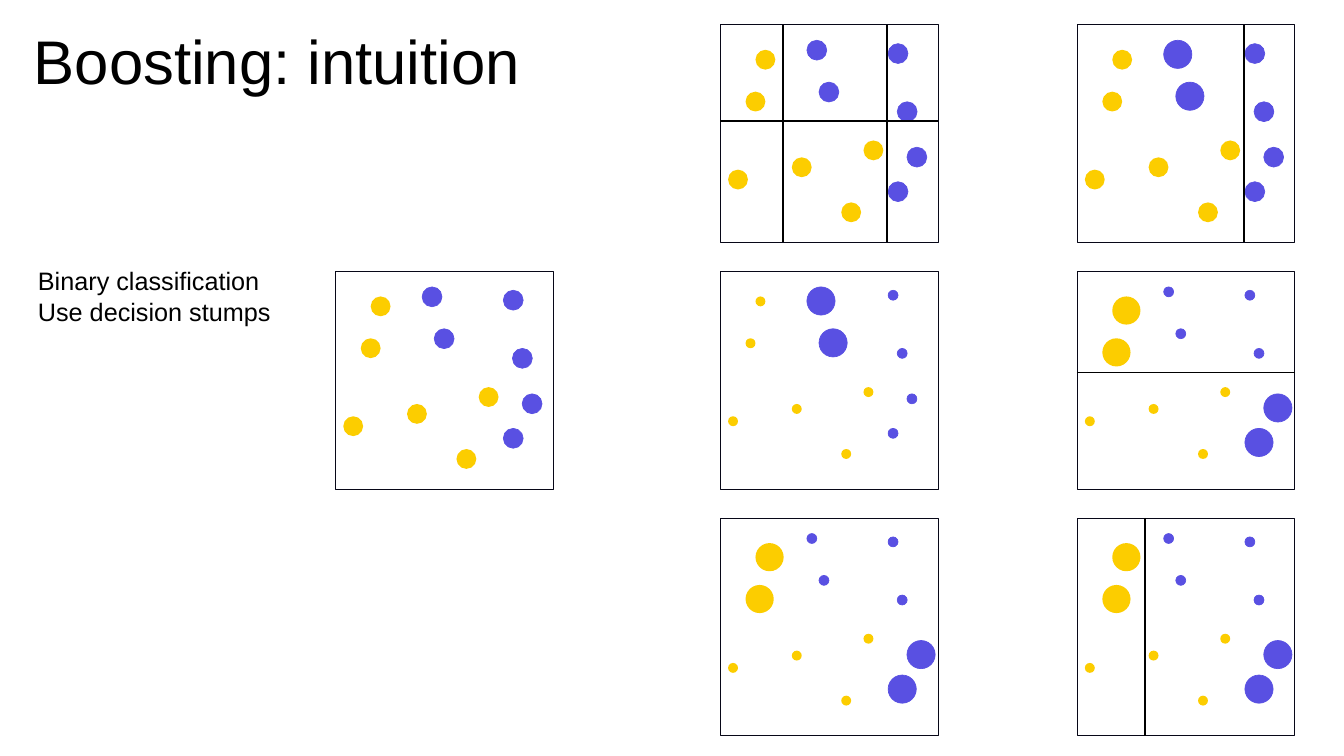
from dataclasses import dataclass

from lxml.etree import SubElement
from pptx import Presentation
from pptx.dml.color import RGBColor as Color
from pptx.enum.shapes import MSO_CONNECTOR as Link, MSO_SHAPE as Kind
from pptx.enum.text import MSO_ANCHOR as Anchor, MSO_AUTO_SIZE as Fit, PP_ALIGN as Align
from pptx.oxml.ns import qn
from pptx.util import Cm, Pt


@dataclass(frozen=True)
class Theme:
    font: str = "Arial"
    title: int = 88
    body: int = 36
    ink: Color = Color.from_string("000000")
    paper: Color = Color.from_string("FFFFFF")
    frame: Color = Color.from_string("070717")
    gold: Color = Color.from_string("FCCD00")
    blue: Color = Color.from_string("5950E2")


THEME = Theme()

# All lengths are in centimetres.
SIDE = 10.97
COLS = (16.89, 36.27, 54.24)
TOP, PITCH = 1.24, 12.43
SMALL, MID, LARGE = 0.5, 1.0, 1.42

# Top left corner of each sample within its panel.
GOLD = [(1.78, 1.27), (1.28, 3.38), (0.4, 7.31), (3.61, 6.69), (6.1, 8.96), (7.22, 5.84)]
BLUE = [(4.37, 0.79), (4.98, 2.9), (8.46, 0.96), (8.92, 3.89), (9.41, 6.18), (8.46, 7.92)]

# Samples that a stump got wrong and that weigh more in the next round.
MISS_A = BLUE[:2]
MISS_B = GOLD[:2] + BLUE[4:]

# Column, row, rest size, heavy samples, upright cuts, level cuts
PANELS = [
    (0, 1, MID, [], [], []),
    (1, 0, MID, [], [3.17, 8.39], [4.85]),
    (2, 0, MID, MISS_A, [8.4], []),
    (1, 1, SMALL, MISS_A, [], []),
    (2, 1, SMALL, MISS_B, [], [5.1]),
    (1, 2, SMALL, MISS_B, [], []),
    (2, 2, SMALL, MISS_B, [3.43], []),
]


def add_shape(slide, kind, x, y, size, fill, line=None):
    shape = slide.shapes.add_shape(kind, Cm(x), Cm(y), Cm(size), Cm(size))
    shape.shadow.inherit = False
    shape.fill.solid()
    shape.fill.fore_color.rgb = fill
    if line is None:
        shape.line.fill.background()
    else:
        shape.line.color.rgb = line
        shape.line.width = Pt(1)


def add_cut(slide, x, y, wide, high):
    cut = slide.shapes.add_connector(Link.STRAIGHT, Cm(x), Cm(y), Cm(x + wide), Cm(y + high))
    cut.line.color.rgb = THEME.ink
    cut.line.width = Pt(2.25)
    SubElement(cut._element.spPr, qn("a:effectLst"))


def add_panel(slide, col, row, rest, heavy, upright, level):
    """Draw one framed scatter of samples with its stump cuts."""
    left, top = COLS[col], TOP + row * PITCH
    add_shape(slide, Kind.RECTANGLE, left, top, SIDE, THEME.paper, THEME.frame)
    for spots, fill, line in ((GOLD, THEME.gold, None), (BLUE, THEME.blue, THEME.blue)):
        for spot in spots:
            size = LARGE if spot in heavy else rest
            add_shape(slide, Kind.OVAL, left + spot[0], top + spot[1], size, fill, line)
    for x in upright:
        add_cut(slide, left + x, top, 0, SIDE)
    for y in level:
        add_cut(slide, left, top + y, SIDE, 0)


def fill_text(holder, box, text, size, inset, spacing):
    """Move a placeholder and set plain, unbulleted text in it."""
    holder.left, holder.top, holder.width, holder.height = map(Cm, box)
    frame = holder.text_frame
    frame.text = text
    frame.word_wrap = True
    frame.auto_size = Fit.NONE
    frame.vertical_anchor = Anchor.TOP
    frame.margin_left = frame.margin_right = Cm(inset)
    frame.margin_top = frame.margin_bottom = Cm(inset)
    for para in frame.paragraphs:
        props = para._p.get_or_add_pPr()
        props.set("marL", "0")
        props.set("indent", "0")
        SubElement(props, qn("a:buNone"))
        para.alignment = Align.LEFT
        para.line_spacing = spacing
        para.space_before = Pt(0)
        for run in para.runs:
            run.font.name = THEME.font
            run.font.size = Pt(size)
            run.font.color.rgb = THEME.ink


def main():
    deck = Presentation()
    deck.slide_width, deck.slide_height = Cm(67.69), Cm(38.1)
    slide = deck.slides.add_slide(deck.slide_layouts[1])
    title, body = slide.placeholders
    fill_text(title, (1.7, 1.75, 63.5, 4.6), "Boosting: intuition", THEME.title, 0, 0.85)
    fill_text(body, (1.78, 13.26, 16.59, 3.33), "Binary classification\nUse decision stumps",
              THEME.body, 0.13, 1.0)
    for panel in PANELS:
        add_panel(slide, *panel)
    deck.save("out.pptx")


if __name__ == "__main__":
    main()
